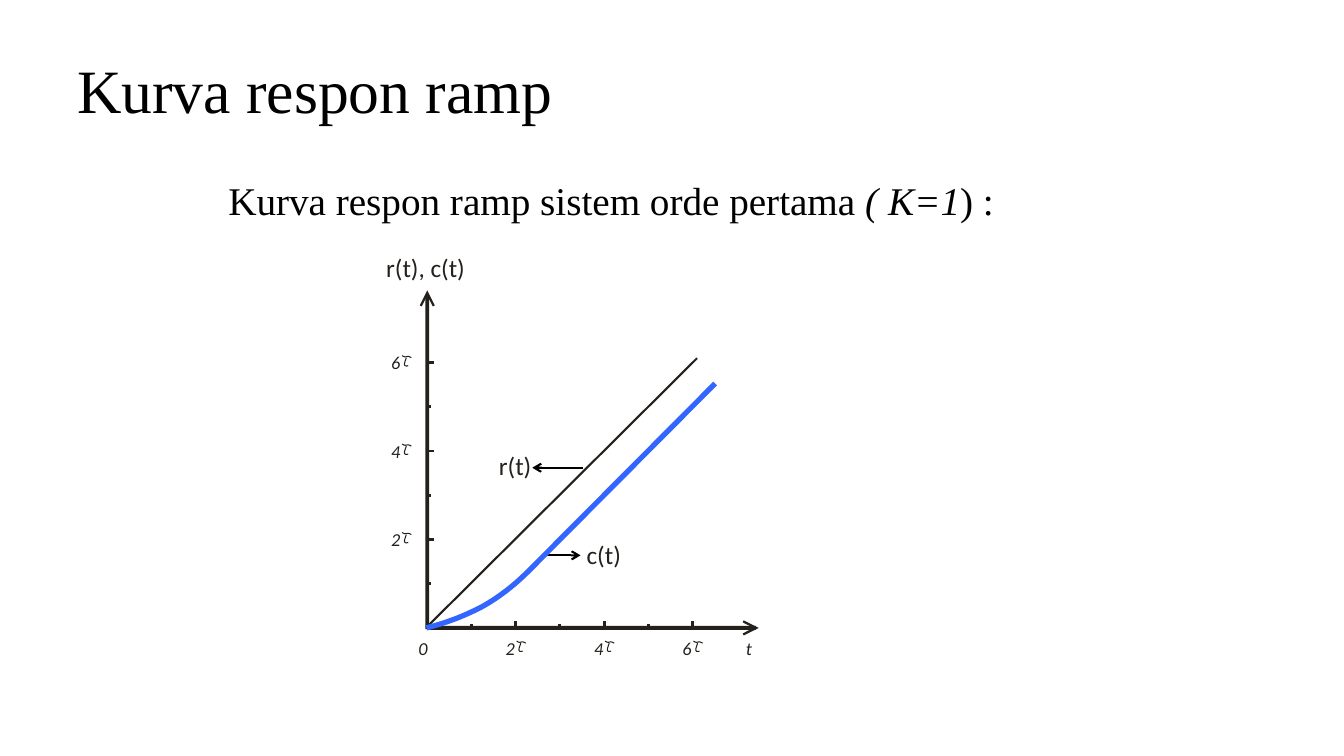
"""Builds a slide with the ramp response curve of a first-order system."""
from typing import NamedTuple, Optional

from lxml.etree import SubElement
from pptx import Presentation
from pptx.dml.color import RGBColor
from pptx.enum.shapes import MSO_CONNECTOR, MSO_SHAPE
from pptx.enum.text import MSO_ANCHOR, MSO_AUTO_SIZE
from pptx.oxml.ns import qn
from pptx.util import Pt

COLORS = {"black": "000000", "ink": "24211D", "blue": "3366FF"}
SERIF, SANS = "Times New Roman", "Calibri"
X0, Y0, TAU = 305.2, 448.5, 31.58
X_END, Y_END = 542, 207.4
AXIS_WIDTH = 2.8

Point = tuple[float, float]


class Label(NamedTuple):
    text: str
    x: float
    y: float
    w: float
    h: float
    size: float
    italic: bool = False


class Line(NamedTuple):
    start: Point
    end: Point
    color: str = "ink"
    width: float = 0
    arrow: bool = False


class Heading(NamedTuple):
    runs: list[tuple[str, bool]]
    box: tuple[float, float, float, float]
    size: float
    anchor: MSO_ANCHOR
    before: float = 0


HEADINGS = [
    Heading([("Kurva respon ramp", False)], (48, 21.6, 864, 90), 44, MSO_ANCHOR.MIDDLE),
    Heading([("Kurva respon ramp sistem orde pertama ", False), ("( K=1", True), (") :", False)],
            (156, 126, 606, 43.2), 28, MSO_ANCHOR.TOP, 10),
]
LABELS = [
    Label("r(t), c(t)", 275.8, 180, 56.9, 21.6, 18),
    Label("r(t)", 356.4, 321.8, 23.8, 21.6, 18),
    Label("c(t)", 419, 385.2, 25.2, 21.6, 18),
    Label("0", 298.8, 455, 6.5, 15.8, 13, True),
    Label("t", 532.8, 455, 4.3, 15.8, 13, True),
]
LINES = [
    Line((304.6, 448.2), (497.9, 255.9), width=1.5),
    Line((337.7, 447.1), (336.2, 448.5)),
    Line((391, 396.7), (414.7, 396.7), "black", 1.5, True),
    Line((416.2, 334.1), (380.2, 334.1), "black", 1.5, True),
]
ARROWHEAD = [(0, 0), (5.4, 10.8), (4, 11.5), (0, 3.8), (-4, 11.5), (-5.4, 10.8)]
TAU_BAR = [(0, 0.7), (2.9, 2.9), (3.2, 0), (6.5, 2.2)]
TAU_STEM = [(4.3, 7.9), (-0.7, 9.4), (2.9, 3.6), (2.9, 2.2)]
BEND_LOW = [(304.6, 448.5), (319, 445), (332.6, 439.6), (344.9, 433.1)]
BEND_HIGH = [(344.9, 433.1), (357.1, 426.2), (367.9, 417.6), (377.6, 407.9)]
RESPONSE_END = (510.8, 274)


def rgb(name: str) -> RGBColor:
    return RGBColor.from_string(COLORS[name])


def bezier(pts: list[Point], steps: int = 12) -> list[Point]:
    curve = []
    for i in range(steps + 1):
        t = i / steps
        weights = ((1 - t) ** 3, 3 * t * (1 - t) ** 2, 3 * t * t * (1 - t), t ** 3)
        curve.append((sum(w * x for w, (x, _) in zip(weights, pts)),
                      sum(w * y for w, (_, y) in zip(weights, pts))))
    return curve


def add_outline(s, pts: list[Point], fill: Optional[str] = None,
                line: Optional[str] = None, width: float = 0) -> None:
    first, *rest = [(Pt(x), Pt(y)) for x, y in pts]
    builder = s.shapes.build_freeform(*first)
    builder.add_line_segments(rest, close=fill is not None)
    paint(builder.convert_to_shape(), fill, line, width)


def paint(sp, fill: Optional[str], line: Optional[str] = None, width: float = 0) -> None:
    sp.shadow.inherit = False
    if fill:
        sp.fill.solid()
        sp.fill.fore_color.rgb = rgb(fill)
    else:
        sp.fill.background()
    if line:
        sp.line.color.rgb = rgb(line)
        sp.line.width = Pt(width)
    else:
        sp.line.fill.background()


def add_bar(s, x: float, y: float, w: float, h: float) -> None:
    paint(s.shapes.add_shape(MSO_SHAPE.RECTANGLE, Pt(x), Pt(y), Pt(w), Pt(h)), "ink")


def add_line(s, line: Line) -> None:
    cxn = s.shapes.add_connector(MSO_CONNECTOR.STRAIGHT, *map(Pt, line.start + line.end))
    cxn.line.color.rgb = rgb(line.color)
    cxn.line.width = Pt(line.width)
    sp_pr = cxn._element.spPr
    if line.arrow:
        SubElement(sp_pr.find(qn("a:ln")), qn("a:tailEnd"), type="arrow")
    SubElement(sp_pr, qn("a:effectLst"))


def add_label(s, label: Label) -> None:
    tf = s.shapes.add_textbox(Pt(label.x), Pt(label.y), Pt(label.w), Pt(label.h)).text_frame
    tf.margin_left = tf.margin_right = tf.margin_top = tf.margin_bottom = 0
    tf.word_wrap = False
    tf.auto_size = MSO_AUTO_SIZE.SHAPE_TO_FIT_TEXT
    p = tf.paragraphs[0]
    p.text = label.text
    p.font.name, p.font.size, p.font.italic = SANS, Pt(label.size), label.italic
    p.font.color.rgb = rgb("ink")


def add_tau_label(s, count: int, x: float, y: float) -> None:
    add_label(s, Label(str(count), x, y, 6.5, 15.8, 13, True))
    for stroke in (TAU_BAR, TAU_STEM):
        add_outline(s, bezier([(x + 7.9 + dx, y + 2.2 + dy) for dx, dy in stroke]), line="ink")


def add_heading(s, heading: Heading) -> None:
    tf = s.shapes.add_textbox(*map(Pt, heading.box)).text_frame
    tf.word_wrap = True
    tf.vertical_anchor = heading.anchor
    p = tf.paragraphs[0]
    p.line_spacing = 0.9
    p.space_before = Pt(heading.before)
    p.font.name, p.font.size = SERIF, Pt(heading.size)
    p.font.color.rgb = rgb("black")
    for text, italic in heading.runs:
        r = p.add_run()
        r.text = text
        r.font.italic = italic


def add_axes(s) -> None:
    add_bar(s, X0 - AXIS_WIDTH / 2, Y_END + 4, AXIS_WIDTH, Y0 - Y_END - 3)
    add_bar(s, X0, Y0 - AXIS_WIDTH / 2, X_END - X0 - 2, AXIS_WIDTH)
    add_outline(s, [(X0 + dx, Y_END + dy) for dx, dy in ARROWHEAD], "ink")
    add_outline(s, [(X_END - dy, Y0 + dx) for dx, dy in ARROWHEAD], "ink")
    for count in range(1, 7):
        x, y = X0 + count * TAU, Y0 - count * TAU
        major = count % 2 == 0
        length = 5 if major else 2.5
        add_line(s, Line((x, Y0), (x, Y0 - length)))
        add_line(s, Line((X0, y), (X0 + length, y)))
        if major:
            add_tau_label(s, count, x - 7.2, 455)
            add_tau_label(s, count, 279.4, y - 7.9)


def main() -> None:
    prs = Presentation()
    prs.slide_width, prs.slide_height = Pt(960), Pt(540)
    s = prs.slides.add_slide(prs.slide_layouts[6])
    for heading in HEADINGS:
        add_heading(s, heading)
    add_axes(s)
    for line in LINES:
        add_line(s, line)
    response = bezier(BEND_LOW) + bezier(BEND_HIGH)[1:] + [RESPONSE_END]
    add_outline(s, response, line="blue", width=3.75)
    for label in LABELS:
        add_label(s, label)
    prs.save("out.pptx")


if __name__ == "__main__":
    main()
